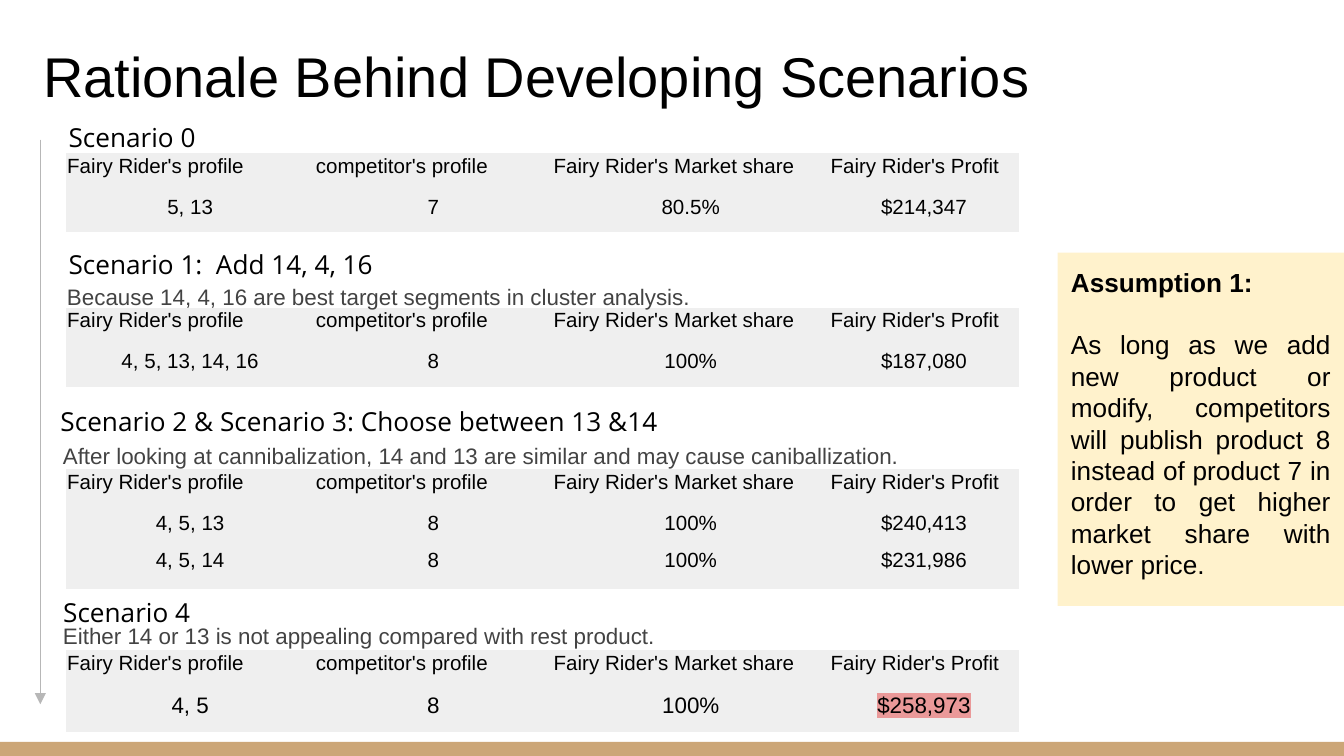
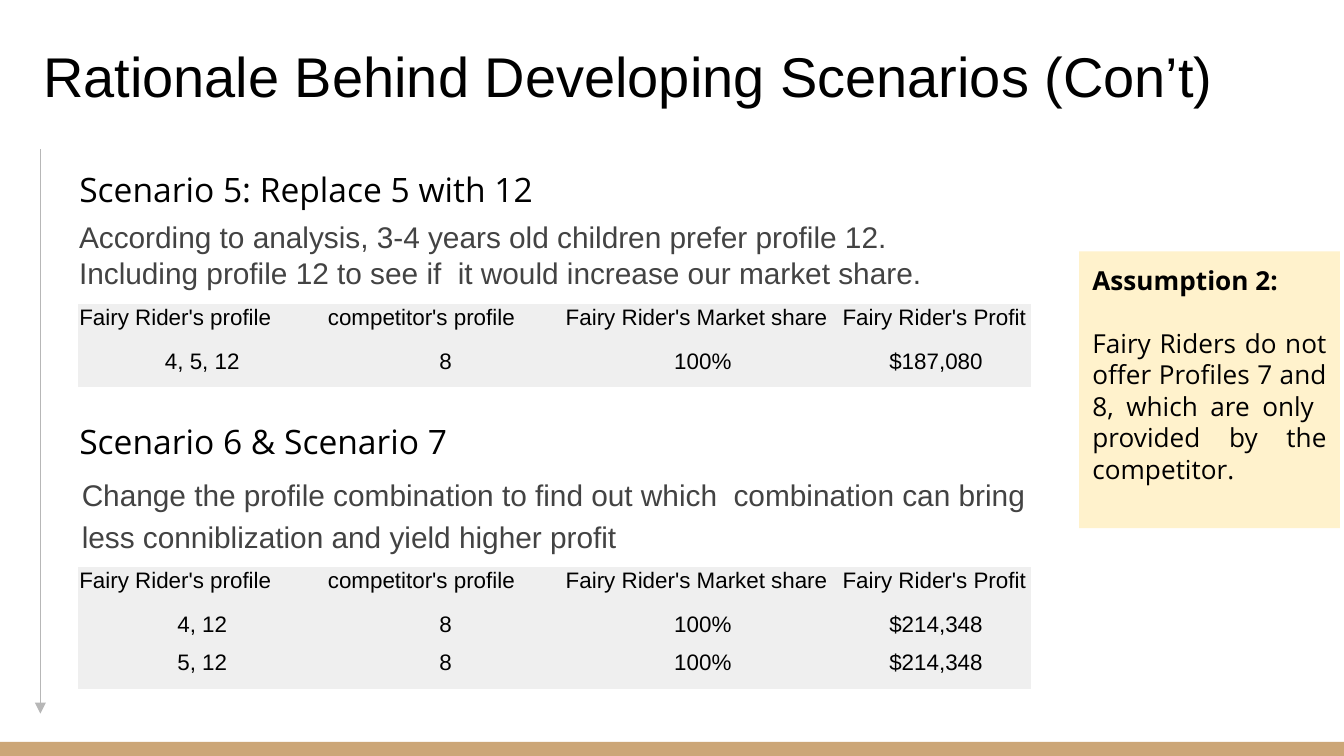
import copy
import dataclasses

import lxml.etree
import pptx
import pptx.dml.color
import pptx.enum.shapes
import pptx.enum.text
import pptx.oxml.ns
import pptx.util

Inches = pptx.util.Inches
Pt = pptx.util.Pt
qn = pptx.oxml.ns.qn
ALIGN = pptx.enum.text.PP_ALIGN
ANCHOR = pptx.enum.text.MSO_ANCHOR
RECT = pptx.enum.shapes.MSO_SHAPE.RECTANGLE


@dataclasses.dataclass(frozen=True)
class Theme:
    ink: str = "000000"
    muted: str = "434343"
    band: str = "CCA677"
    cell: str = "EFEFEF"
    note: str = "FFF2CC"
    arrow: str = "B7B7B7"
    mark: str = "EA9999"
    sans: str = "Arial"
    head: str = "Open Sans"
    title_size: int = 30
    callout_size: int = 14
    spacing: float = 1.15
    after: int = 16
    inset: float = 0.1


@dataclasses.dataclass(frozen=True)
class Sizes:
    heading: int
    note: int
    table: int


@dataclasses.dataclass(frozen=True)
class Scenario:
    box: tuple
    heading: str
    rows: list
    table_at: tuple
    note: str = ""
    note_box: tuple = ()
    note_spacing: float = Theme.spacing
    extra_top: float = 0
    extra_height: float = 0.24
    data_size: int = 0
    marked: str = ""


THEME = Theme()
SLIDE_WIDTH = Inches(10)
SLIDE_HEIGHT = SLIDE_WIDTH * 9 // 16
NO_STYLE = "{2D5ABB26-0587-4C30-8999-92F81FD0307C}"
COLUMNS = [1.85, 1.77, 2.06, 1.41]
HEADER = ["Fairy Rider's profile", "competitor's profile",
          "Fairy Rider's Market share", "Fairy Rider's Profit"]
HEADER_HEIGHT, ROW_HEIGHT = 0.24, 0.27


def rgb(value):
    return pptx.dml.color.RGBColor.from_string(value)


def apply(obj, values):
    for name, value in values.items():
        setattr(obj, name, value)


def place(sp, box):
    apply(sp, dict(zip(("left", "top", "width", "height"), map(Inches, box))))


def setup_frame(tf, anchor=ANCHOR.TOP):
    inset = Inches(THEME.inset)
    apply(tf, {"word_wrap": True, "auto_size": pptx.enum.text.MSO_AUTO_SIZE.NONE,
               "vertical_anchor": anchor, "margin_left": inset, "margin_right": inset,
               "margin_top": inset, "margin_bottom": inset})


def write(p, text, size, font, color=THEME.ink, bold=False, **layout):
    apply(p, {"alignment": ALIGN.LEFT, "space_before": Pt(0), **layout})
    r = p.add_run()
    r.text = text
    r.font.color.rgb = rgb(color)
    apply(r.font, {"size": Pt(size), "name": font, "bold": bold})
    return r


def remove_bullet(p):
    pPr = p._p.get_or_add_pPr()
    for name in ("marL", "indent"):
        pPr.set(name, "0")
    lxml.etree.SubElement(pPr, qn("a:buNone"))


def highlight(r, color):
    fill = r._r.rPr.find(qn("a:solidFill"))
    mark = lxml.etree.Element(qn("a:highlight"))
    mark.append(copy.deepcopy(fill[0]))
    mark[0].set("val", color)
    fill.addnext(mark)


def add_block(slide, box, color):
    sp = slide.shapes.add_shape(RECT, *map(Inches, box))
    sp.shadow.inherit = False
    sp.fill.solid()
    sp.fill.fore_color.rgb = rgb(color)
    sp.line.fill.background()
    return sp


def add_master_band(prs, slide):
    sp = add_block(slide, (0, 5.52, 10, 0.1), THEME.band)
    sp.height = SLIDE_HEIGHT - sp.top
    sp.element.nvSpPr.cNvPr.set("id", "90")
    prs.slide_master.shapes.element.insert(2, sp.element)


def add_title(slide, text):
    sp = slide.shapes.title
    place(sp, (0.22, 0, 10.65, 0.91))
    setup_frame(sp.text_frame, ANCHOR.BOTTOM)
    write(sp.text_frame.paragraphs[0], text, THEME.title_size, THEME.sans)


def add_flow_arrow(slide, x, top, bottom):
    line = slide.shapes.add_connector(pptx.enum.shapes.MSO_CONNECTOR.STRAIGHT,
                                      *map(Inches, (x, top, x, bottom)))
    line.line.color.rgb = rgb(THEME.arrow)
    line.line.width = Pt(0.75)
    spPr = line.element.spPr
    lxml.etree.SubElement(spPr.find(qn("a:ln")), qn("a:tailEnd"), type="triangle")
    lxml.etree.SubElement(spPr, qn("a:effectLst"))


def add_callout(slide, box, heading, text, font):
    tf = add_block(slide, box, THEME.note).text_frame
    setup_frame(tf)
    size = THEME.callout_size
    write(tf.paragraphs[0], heading, size, font, bold=True,
          alignment=ALIGN.JUSTIFY, space_after=Pt(size * 1.2))
    write(tf.add_paragraph(), text, size, font, alignment=ALIGN.JUSTIFY)


def add_grid(slide, x, y, rows, heights, size, data_size, marked):
    frame = slide.shapes.add_table(len(rows), len(COLUMNS), Inches(x), Inches(y),
                                   Inches(sum(COLUMNS)), Inches(sum(heights)))
    table = frame.table
    apply(table, {"first_row": False, "horz_banding": False})
    table._tbl.tblPr.find(qn("a:tableStyleId")).text = NO_STYLE
    for column, width in zip(table.columns, COLUMNS):
        column.width = Inches(width)
    thin = Inches(0.01)
    for i, row in enumerate(rows):
        table.rows[i].height = Inches(heights[i])
        is_header = row is HEADER
        layout = {} if is_header else {"alignment": ALIGN.CENTER,
                                       "line_spacing": THEME.spacing}
        for j, text in enumerate(row):
            cell = table.cell(i, j)
            apply(cell, {"vertical_anchor": ANCHOR.MIDDLE, "margin_left": thin,
                         "margin_right": thin, "margin_top": thin,
                         "margin_bottom": Inches(THEME.inset)})
            cell.fill.solid()
            cell.fill.fore_color.rgb = rgb(THEME.cell)
            r = write(cell.text_frame.paragraphs[0], text,
                      size if is_header else data_size, THEME.sans, **layout)
            if text == marked:
                highlight(r, THEME.mark)


def add_scenario(slide, holder, scenario, sizes):
    x, y = scenario.box[:2]
    place(holder, scenario.box)
    setup_frame(holder.text_frame)
    p = holder.text_frame.paragraphs[0]
    write(p, scenario.heading, sizes.heading, THEME.head,
          line_spacing=THEME.spacing, space_after=Pt(THEME.after))
    remove_bullet(p)

    dx, dy = scenario.table_at
    style = (sizes.table, scenario.data_size or sizes.table, scenario.marked)
    add_grid(slide, x + dx, y + dy, [HEADER, scenario.rows[0]],
             [HEADER_HEIGHT, ROW_HEIGHT], *style)
    for row in scenario.rows[1:]:
        add_grid(slide, x + dx, y + dy + scenario.extra_top, [row],
                 [scenario.extra_height], *style)

    if scenario.note:
        dx, dy, w, h = scenario.note_box
        sp = slide.shapes.add_textbox(*map(Inches, (x + dx, y + dy, w, h)))
        setup_frame(sp.text_frame)
        write(sp.text_frame.paragraphs[0], scenario.note, sizes.note, THEME.sans,
              THEME.muted, line_spacing=scenario.note_spacing,
              space_after=Pt(THEME.after))


def add_scenario_slide(prs, layout, title, scenarios, sizes, arrow, callout):
    slide = prs.slides.add_slide(prs.slide_layouts.get_by_name(layout))
    holders = [sp for sp in slide.placeholders if sp.placeholder_format.idx > 0]
    add_title(slide, title)
    add_flow_arrow(slide, *arrow)
    for holder, scenario in zip(holders, scenarios):
        add_scenario(slide, holder, scenario, sizes)
    add_callout(slide, *callout)
    return slide


FIRST = [
    Scenario((0.41, 0.77, 9.32, 0.41), "Scenario 0",
             [["5, 13", "7", "80.5%", "$214,347"]], (0.08, 0.37)),
    Scenario((0.41, 1.71, 9.32, 0.34), "Scenario 1:  Add 14, 4, 16",
             [["4, 5, 13, 14, 16", "8", "100%", "$187,080"]], (0.08, 0.58),
             "Because 14, 4, 16 are best target segments in cluster analysis.",
             (-0.01, 0.27, 7.29, 0.34)),
    Scenario((0.35, 2.88, 9.32, 0.41), "Scenario 2 & Scenario 3: Choose between 13 &14",
             [["4, 5, 13", "8", "100%", "$240,413"],
              ["4, 5, 14", "8", "100%", "$231,986"]], (0.14, 0.61),
             "After looking at cannibalization, 14 and 13 are similar and may cause "
             "caniballization.",
             (0.02, 0.28, 7, 0.57), extra_top=0.54, extra_height=0.35),
    Scenario((0.37, 4.3, 9.32, 0.41), "Scenario 4",
             [["4, 5", "8", "100%", "$258,973"]], (0.12, 0.54),
             "Either 14 or 13 is not appealing compared with rest product.",
             (0, 0.2, 7, 0.65), data_size=12, marked="$258,973"),
]

SECOND = [
    Scenario((0.49, 1.11, 9.32, 0.42), "Scenario 5: Replace 5 with 12",
             [["4, 5, 12", "8", "100%", "$187,080"]], (0.09, 1.15),
             "According to analysis, 3-4 years old children prefer profile 12. "
             "Including profile 12 to see if  it would increase our market share.",
             (0, 0.42, 7.1, 0.65), note_spacing=1.0),
    Scenario((0.49, 2.99, 6.95, 0.42), "Scenario 6 & Scenario 7",
             [["4, 12", "8", "100%", "$214,348"],
              ["5, 12", "8", "100%", "$214,348"]], (0.09, 1.23),
             "Change the profile combination to find out which  combination can bring "
             "less conniblization and yield higher profit",
             (0.02, 0.42, 7.32, 0.52), extra_top=0.58),
]


def main():
    prs = pptx.Presentation()
    apply(prs, {"slide_width": SLIDE_WIDTH, "slide_height": SLIDE_HEIGHT})
    title = "Rationale Behind Developing Scenarios"
    slide = add_scenario_slide(
        prs, "Comparison", title, FIRST, Sizes(14, 12, 11), (0.3, 1.04, 5.24),
        ((7.87, 1.88, 2.13, 2.63), "Assumption 1:",
         "As long as we add new product or modify, competitors will publish product 8 "
         "instead of product 7 in order to get higher market share with lower price.",
         THEME.sans))
    add_master_band(prs, slide)
    add_scenario_slide(
        prs, "Two Content", title + " (Con’t)", SECOND, Sizes(18, 16, 12),
        (0.3, 1.11, 5.31),
        ((8.03, 1.87, 1.94, 2.06), "Assumption 2:",
         "Fairy Riders do not offer Profiles 7 and 8, which are only  provided by the "
         "competitor.", THEME.head))
    prs.save("out.pptx")


if __name__ == "__main__":
    main()
